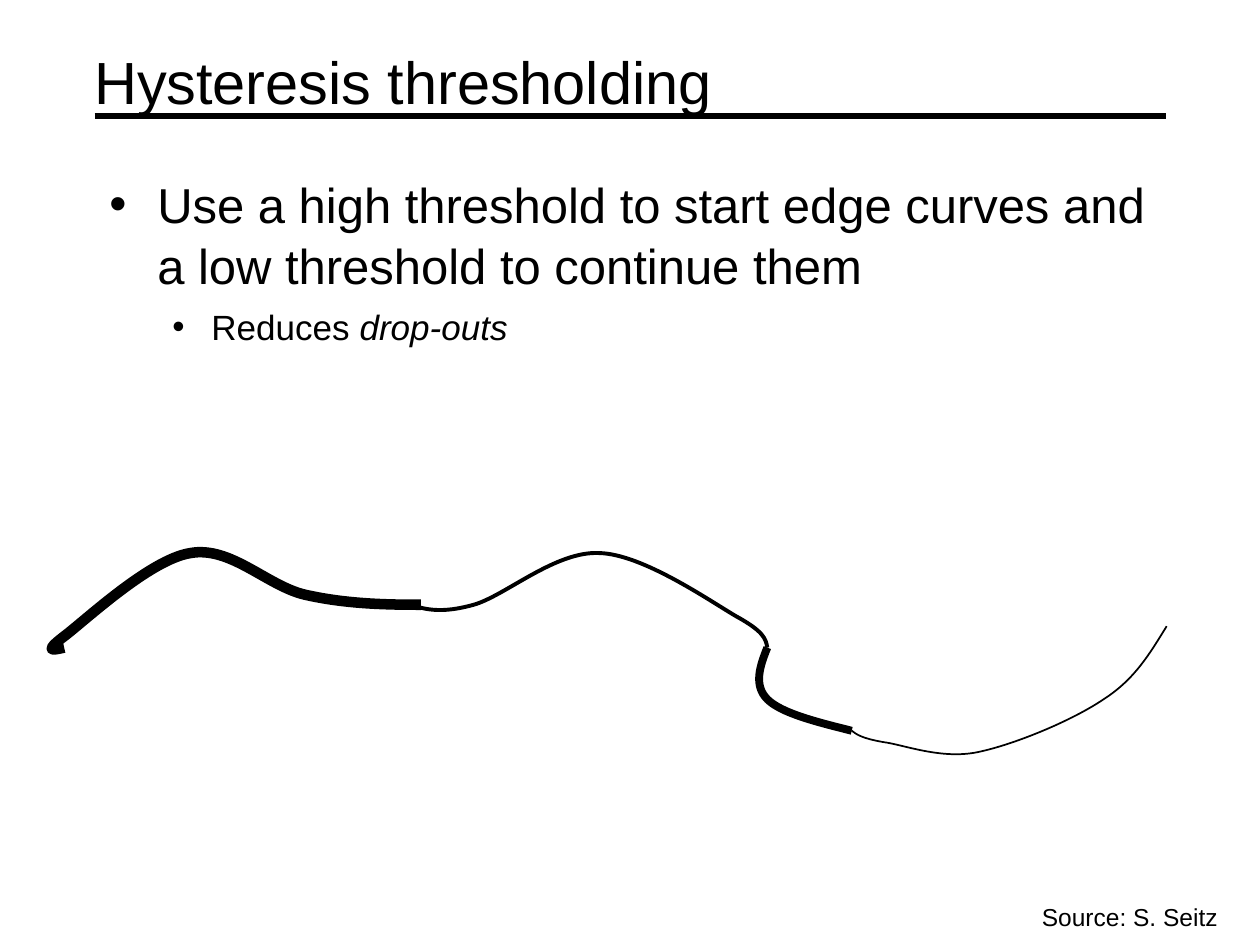
from lxml import etree
from pptx import Presentation
from pptx.dml.color import RGBColor
from pptx.enum import shapes, text
from pptx.oxml import ns
from pptx.util import Inches, Pt

BLACK = "000000"
FONT = "Arial"
LINE_SPACING = 1.05

STRONG_START = [
    (0.51, 5.14), (0.42, 5.16), (0.34, 5.18), (0.51, 5.05),
    (0.67, 4.93), (1.19, 4.44), (1.51, 4.39),
    (1.83, 4.33), (2.12, 4.65), (2.42, 4.72),
    (2.73, 4.79), (3.03, 4.8), (3.34, 4.8),
]
WEAK_MIDDLE = [
    (3.26, 4.8), (3.38, 4.84), (3.51, 4.87), (3.76, 4.8),
    (4.01, 4.73), (4.41, 4.37), (4.76, 4.39),
    (5.1, 4.4), (5.62, 4.76), (5.84, 4.89),
    (6.06, 5.01), (6.08, 5.07), (6.09, 5.14),
]
STRONG_MIDDLE = [
    (6.09, 5.14), (6.03, 5.29), (5.98, 5.44), (6.09, 5.55),
    (6.2, 5.66), (6.48, 5.73), (6.76, 5.8),
]
FAINT_END = [
    (6.76, 5.8), (6.8, 5.83), (6.84, 5.86), (7.01, 5.89),
    (7.17, 5.91), (7.47, 6.03), (7.76, 5.97),
    (8.05, 5.91), (8.51, 5.72), (8.76, 5.55),
    (9.01, 5.39), (9.13, 5.18), (9.26, 4.97),
]
EDGE_CURVES = [(STRONG_START, 6), (WEAK_MIDDLE, 2.25), (STRONG_MIDDLE, 4.5), (FAINT_END, 1)]


def color(value):
    return RGBColor.from_string(value)


def style_line(shape, width):
    shape.line.color.rgb = color(BLACK)
    shape.line.width = Pt(width)


def add_rule(page, left, right, top, width):
    rule = page.shapes.add_connector(
        shapes.MSO_CONNECTOR.STRAIGHT, Inches(left), Inches(top), Inches(right), Inches(top)
    )
    style_line(rule, width)
    etree.SubElement(rule._element.spPr, ns.qn("a:effectLst"))


def add_curve(page, points, width):
    start, *rest = [(Inches(x), Inches(y)) for x, y in points]
    builder = page.shapes.build_freeform(*start)
    builder.add_line_segments(rest, close=False)
    curve = builder.convert_to_shape()
    outline = curve._element.find(".//" + ns.qn("a:path"))
    steps = outline.findall(ns.qn("a:lnTo"))
    for first in range(0, len(steps), 3):
        bend = etree.SubElement(outline, ns.qn("a:cubicBezTo"))
        for step in steps[first:first + 3]:
            bend.append(step[0])
            outline.remove(step)
    curve.fill.background()
    curve.shadow.inherit = False
    style_line(curve, width)


def add_box(page, left, top, width, height, wrap=True, anchor=text.MSO_ANCHOR.TOP):
    box = page.shapes.add_textbox(Inches(left), Inches(top), Inches(width), Inches(height))
    box.text_frame.word_wrap = wrap
    box.text_frame.vertical_anchor = anchor
    return box.text_frame


def add_bullet(para, margin, hanging):
    props = para._p.get_or_add_pPr()
    props.set("marL", str(Inches(margin)))
    props.set("indent", str(-Inches(hanging)))
    font = etree.SubElement(props, ns.qn("a:buFont"))
    font.set("typeface", FONT)
    etree.SubElement(props, ns.qn("a:buChar")).set("char", "•")


def add_span(para, words, size, italic=False):
    span = para.add_run()
    span.text = words
    span.font.name = FONT
    span.font.size = Pt(size)
    span.font.italic = italic
    span.font.color.rgb = color(BLACK)


def add_label(frame, words, size):
    para = frame.paragraphs[0]
    para.line_spacing = LINE_SPACING
    add_span(para, words, size)


def add_body(page):
    frame = add_box(page, 0.77, 1.31, 8.5, 4.5)
    point = frame.paragraphs[0]
    point.line_spacing = LINE_SPACING
    add_bullet(point, 0.38, 0.38)
    add_span(point, "Use a high threshold to start edge curves and a low threshold to continue them", 28)

    detail = frame.add_paragraph()
    detail.level = 1
    detail.line_spacing = LINE_SPACING
    detail.space_before = Pt(5)
    add_bullet(detail, 0.81, 0.31)
    add_span(detail, "Reduces ", 20)
    add_span(detail, "drop-outs", 20, italic=True)


def main():
    deck = Presentation()
    deck.slide_width = Inches(10)
    deck.slide_height = Inches(7.5)
    page = deck.slides.add_slide(deck.slide_layouts[6])

    add_rule(page, 0.75, 9.25, 0.92, 3)
    title = add_box(page, 0.65, 0, 8.5, 1.25, anchor=text.MSO_ANCHOR.MIDDLE)
    add_label(title, "Hysteresis thresholding", 34)
    add_body(page)
    for points, width in EDGE_CURVES:
        add_curve(page, points, width)
    add_label(add_box(page, 8.17, 7.1, 2.16, 0.34), "Source: S. Seitz", 14)

    deck.save("out.pptx")


if __name__ == "__main__":
    main()
